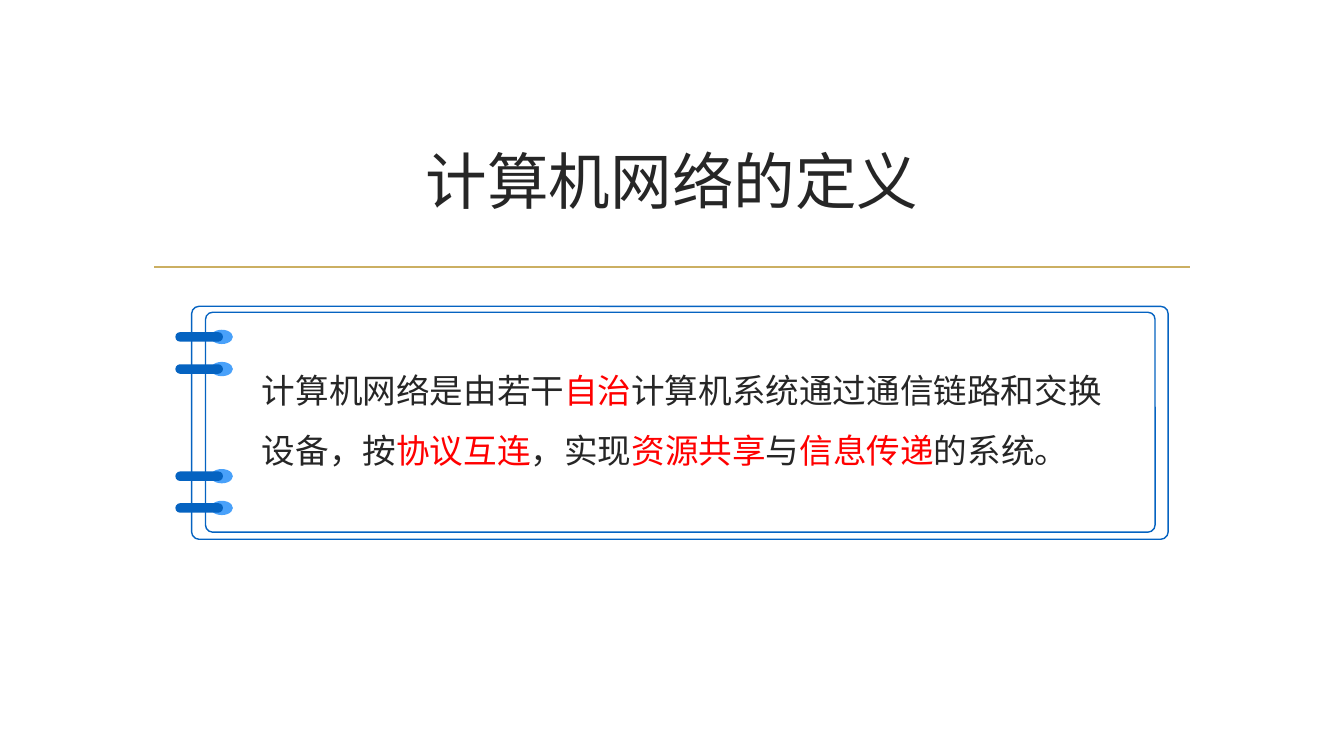
from lxml import etree
from pptx import Presentation
from pptx.dml.color import RGBColor
from pptx.enum.shapes import MSO_CONNECTOR, MSO_SHAPE
from pptx.enum.text import MSO_ANCHOR, PP_ALIGN
from pptx.oxml.ns import qn
from pptx.util import Cm, Pt

FONT = "Noto Sans CJK SC"
DARK, RED, BLUE, LIGHT_BLUE = "262626", "FF0000", "0563C1", "49A1FA"
GOLD, WHITE = "CBAF62", "FFFFFF"
ROUNDED, OVAL = MSO_SHAPE.ROUNDED_RECTANGLE, MSO_SHAPE.OVAL
STRAIGHT = MSO_CONNECTOR.STRAIGHT
LEFT, CENTER = PP_ALIGN.LEFT, PP_ALIGN.CENTER
TOP, MIDDLE = MSO_ANCHOR.TOP, MSO_ANCHOR.MIDDLE

prs = Presentation()
prs.slide_width, prs.slide_height = Cm(33.87), Cm(19.05)
slide = prs.slides.add_slide(prs.slide_layouts[6])


def add_text(runs, x, y, w, h, size, align=LEFT, anchor=TOP, spacing=1.0):
    """Add a one-paragraph text box; runs are (text, colour) pairs."""
    tf = slide.shapes.add_textbox(Cm(x), Cm(y), Cm(w), Cm(h)).text_frame
    tf.word_wrap = True
    tf.vertical_anchor = anchor
    tf.margin_left = tf.margin_right = tf.margin_top = tf.margin_bottom = 0
    p = tf.paragraphs[0]
    p.alignment = align
    p.line_spacing = spacing
    for text, color in runs:
        r = p.add_run()
        r.text = text
        r.font.size = Pt(size)
        r.font.name = FONT
        r.font.color.rgb = RGBColor.from_string(color)
        etree.SubElement(r.font._element, qn("a:ea"), typeface=FONT)


def add_shape(kind, x, y, w, h, fill, line=None, radius=None):
    sp = slide.shapes.add_shape(kind, Cm(x), Cm(y), Cm(w), Cm(h))
    sp.shadow.inherit = False
    sp.fill.solid()
    sp.fill.fore_color.rgb = RGBColor.from_string(fill)
    if line:
        sp.line.color.rgb = RGBColor.from_string(line)
        sp.line.width = Pt(1)
    else:
        sp.line.fill.background()
    if radius is not None:
        sp.adjustments[0] = radius


# Title and rule
rule = slide.shapes.add_connector(STRAIGHT, Cm(3.89), Cm(6.73), Cm(30), Cm(6.73))
rule.line.color.rgb = RGBColor.from_string(GOLD)
rule.line.width = Pt(1.25)
etree.SubElement(rule._element.spPr, qn("a:effectLst"))
add_text([("计算机网络的定义", DARK)], 3.61, 2.72, 26.67, 3.63, 44, CENTER, MIDDLE)

# Notebook page
add_shape(ROUNDED, 4.83, 7.72, 24.61, 5.87, WHITE, BLUE, 0.032)
add_shape(ROUNDED, 5.18, 7.87, 23.93, 5.54, WHITE, BLUE, 0.032)

# Binding rings: a hole and a bar on the same centre line
for center in (8.49, 9.3, 12.0, 12.8):
    add_shape(OVAL, 5.31, center - 0.18, 0.56, 0.36, LIGHT_BLUE)
    add_shape(ROUNDED, 4.42, center - 0.12, 1.2, 0.24, BLUE, radius=0.5)

# Definition with its key terms in red
definition = [
    ("计算机网络是由若干", DARK),
    ("自治", RED),
    ("计算机系统通过通信链路和交换设备，按", DARK),
    ("协议互连", RED),
    ("，实现", DARK),
    ("资源共享", RED),
    ("与", DARK),
    ("信息传递", RED),
    ("的系统。", DARK),
]
add_text(definition, 6.6, 8.81, 21.77, 3.63, 24, spacing=1.5)

prs.save("out.pptx")
